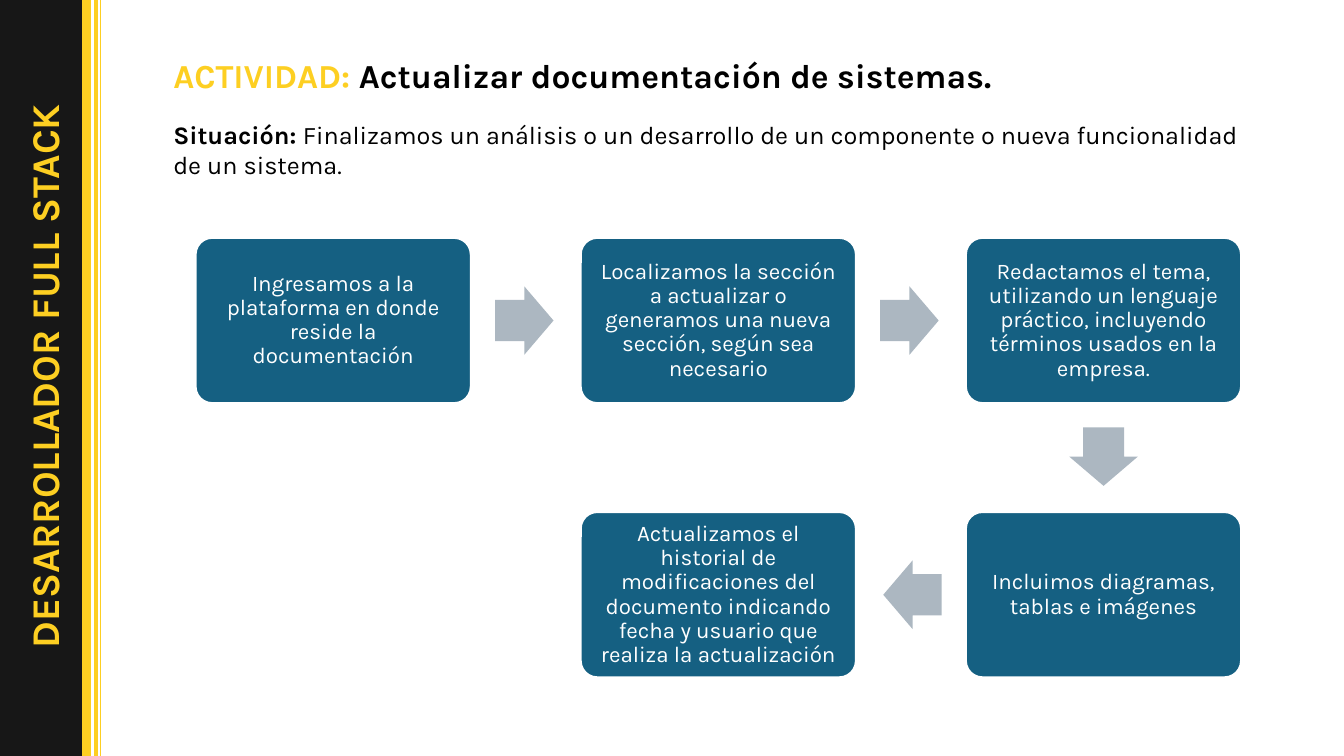
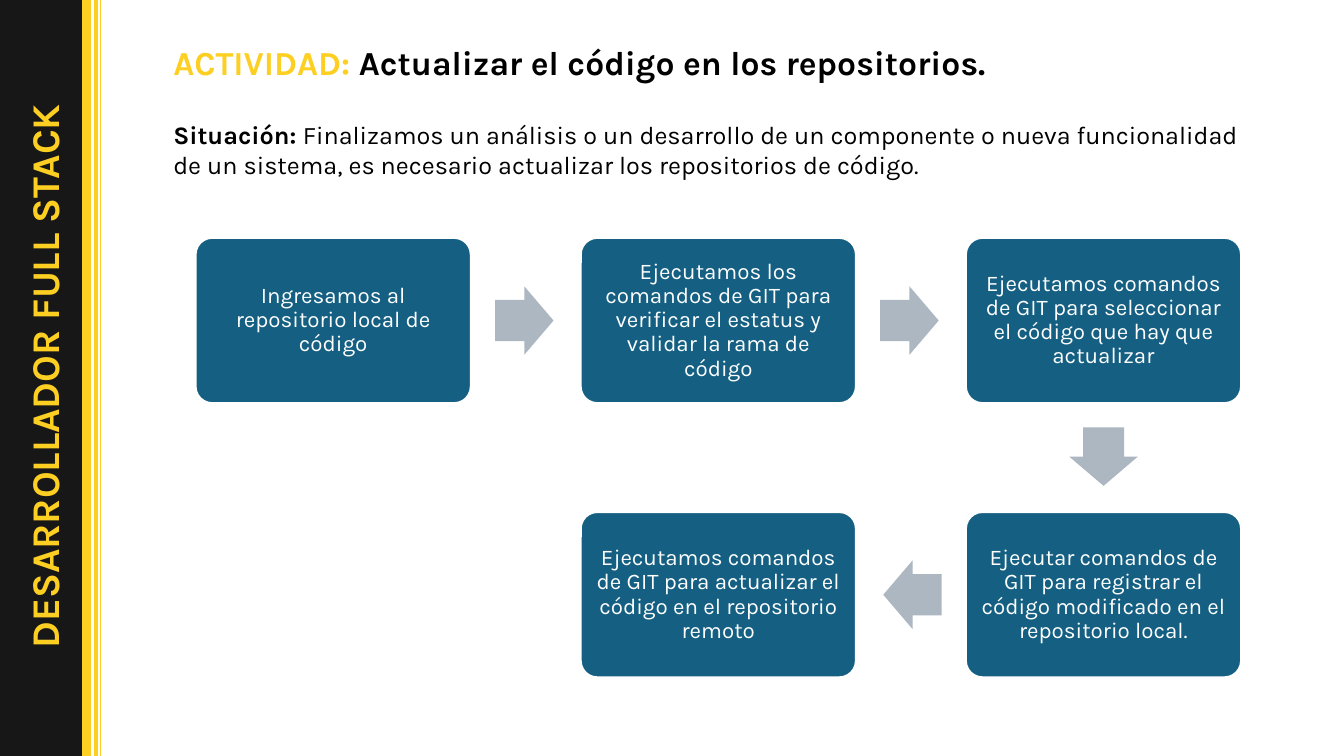
from dataclasses import dataclass
from itertools import pairwise
from math import atan2, degrees

from pptx import Presentation, slide as sl, util as u
from pptx.dml.color import RGBColor
from pptx.enum import shapes as sh, text as tx
from pptx.oxml import ns, xmlchemy as xm


@dataclass(frozen=True)
class Theme:
    font: str = "Karla"
    dark: str = "171717"
    gold: str = "FDCF22"
    blue: str = "156082"
    gray: str = "ACB7C1"
    white: str = "FFFFFF"
    black: str = "000000"
    side: int = 28
    title: int = 24
    body: int = 18
    step: int = 16


@dataclass(frozen=True)
class Rule:
    x: float
    width: float


@dataclass(frozen=True)
class Run:
    text: str
    color: str
    bold: bool = True


@dataclass(frozen=True)
class Page:
    title: str
    top: float
    case: str
    steps: tuple[str, ...]


TH = Theme()
WIDE, HIGH = 13.33, 7.5
RULES = (Rule(0.86, 6), Rule(0.95, 3), Rule(1, 0.5))

# Flow grid: column and row of each step, in reading order
CELLS = ((0, 0), (1, 0), (2, 0), (2, 1), (1, 1))
LEFT, TOP = 1.94, 2.36
BOX_W, BOX_H = 2.73, 1.64
STEP_X, STEP_Y = 3.82, 2.72
ARR_W, ARR_H, GAP = 0.58, 0.68, 0.24

PAGES = (
    Page(
        "Actualizar documentación de sistemas.",
        0.5,
        "Finalizamos un análisis o un desarrollo de un componente o nueva "
        "funcionalidad de un sistema.",
        (
            "Ingresamos a la plataforma en donde reside la documentación",
            "Localizamos la sección a actualizar o generamos una nueva "
            "sección, según sea necesario",
            "Redactamos el tema, utilizando un lenguaje práctico, incluyendo "
            "términos usados en la empresa.",
            "Incluimos diagramas, tablas e imágenes",
            "Actualizamos el historial de modificaciones del documento "
            "indicando fecha y usuario que realiza la actualización",
        ),
    ),
    Page(
        "Actualizar el código en los repositorios.",
        0.37,
        "Finalizamos un análisis o un desarrollo de un componente o nueva "
        "funcionalidad de un sistema, es necesario actualizar los "
        "repositorios de código.",
        (
            "Ingresamos al repositorio local de código",
            "Ejecutamos los comandos de GIT para verificar el estatus y "
            "validar la rama de código",
            "Ejecutamos comandos de GIT para seleccionar el código que hay "
            "que actualizar",
            "Ejecutar comandos de GIT para registrar el código modificado en "
            "el repositorio local.",
            "Ejecutamos comandos de GIT para actualizar el código en el "
            "repositorio remoto",
        ),
    ),
)


def rgb(color: str) -> RGBColor:
    return RGBColor.from_string(color)


def add_shape(slide: sl.Slide, kind: sh.MSO_SHAPE, x: float, y: float,
              w: float, h: float, fill: str, line: str | None = None):
    """Draw a flat preset shape with an optional outline."""
    shape = slide.shapes.add_shape(
        kind, u.Inches(x), u.Inches(y), u.Inches(w), u.Inches(h))
    shape.shadow.inherit = False
    shape.fill.solid()
    shape.fill.fore_color.rgb = rgb(fill)
    if line:
        shape.line.color.rgb = rgb(line)
        shape.line.width = u.Pt(1.5)
    else:
        shape.line.fill.background()
    return shape


def add_rule(slide: sl.Slide, rule: Rule) -> None:
    x = u.Inches(rule.x)
    line = slide.shapes.add_connector(
        sh.MSO_CONNECTOR.STRAIGHT, x, u.Inches(-0.03), x, u.Inches(HIGH + 0.03))
    line.line.color.rgb = rgb(TH.gold)
    line.line.width = u.Pt(rule.width)
    props = line.element.spPr
    props.append(xm.OxmlElement("a:effectLst"))


def add_text(slide: sl.Slide, x: float, y: float, w: float, h: float,
             size: int, *runs: Run):
    """Add a wrapped one-paragraph text box."""
    box = slide.shapes.add_textbox(
        u.Inches(x), u.Inches(y), u.Inches(w), u.Inches(h))
    box.text_frame.word_wrap = True
    para = box.text_frame.paragraphs[0]
    para.font.name = TH.font
    para.font.size = u.Pt(size)
    for part in runs:
        run = para.add_run()
        run.text = part.text
        run.font.bold = part.bold
        run.font.color.rgb = rgb(part.color)
    return box


def add_side(slide: sl.Slide) -> None:
    add_shape(slide, sh.MSO_SHAPE.RECTANGLE, 0, 0, 0.89, HIGH, TH.dark, TH.dark)
    for rule in RULES:
        add_rule(slide, rule)
    label = add_text(slide, -3.06, 3.45, 7, 0.57, TH.side,
                     Run("DESARROLLADOR FULL STACK", TH.gold))
    label.rotation = 270
    label.text_frame.paragraphs[0].alignment = tx.PP_ALIGN.CENTER


def add_step(slide: sl.Slide, cell: tuple[int, int], text: str) -> None:
    col, row = cell
    box = add_shape(slide, sh.MSO_SHAPE.ROUNDED_RECTANGLE,
                    LEFT + col * STEP_X, TOP + row * STEP_Y,
                    BOX_W, BOX_H, TH.blue, TH.white)
    box.adjustments[0] = 0.1
    frame = box.text_frame
    frame.word_wrap = True
    frame.vertical_anchor = tx.MSO_ANCHOR.MIDDLE
    frame.margin_left = frame.margin_right = u.Inches(0.07)
    frame.margin_top = frame.margin_bottom = u.Inches(0.07)
    para = frame.paragraphs[0]
    para.text = text
    para.alignment = tx.PP_ALIGN.CENTER
    para.line_spacing = 0.9
    para.font.name = TH.font
    para.font.size = u.Pt(TH.step)
    para.font.color.rgb = rgb(TH.white)


def add_arrow(slide: sl.Slide, start: tuple[int, int],
              end: tuple[int, int]) -> None:
    """Place an arrow a fixed gap past the edge of its first box."""
    (col, row), (dx, dy) = start, (end[0] - start[0], end[1] - start[1])
    reach = GAP + ARR_W / 2
    mid_x = LEFT + col * STEP_X + BOX_W / 2 + dx * (BOX_W / 2 + reach)
    mid_y = TOP + row * STEP_Y + BOX_H / 2 + dy * (BOX_H / 2 + reach)
    arrow = add_shape(slide, sh.MSO_SHAPE.RIGHT_ARROW, mid_x - ARR_W / 2,
                      mid_y - ARR_H / 2, ARR_W, ARR_H, TH.gray)
    arrow.adjustments[0] = 0.6
    arrow.adjustments[1] = 0.5
    arrow.rotation = degrees(atan2(dy, dx))


def add_page(deck, page: Page) -> None:
    slide = deck.slides.add_slide(deck.slide_layouts[6])
    add_side(slide)
    # Heading and situation
    add_text(slide, 1.62, page.top, 8.72, 0.5, TH.title,
             Run("ACTIVIDAD: ", TH.gold), Run(page.title, TH.black))
    add_text(slide, 1.62, 1.13, 11.02, 0.71, TH.body,
             Run("Situación: ", TH.black), Run(page.case, TH.black, False))
    # Flow of steps
    for cell, text in zip(CELLS, page.steps):
        add_step(slide, cell, text)
    for start, end in pairwise(CELLS):
        add_arrow(slide, start, end)


def main() -> None:
    deck = Presentation()
    deck.slide_width = u.Inches(WIDE)
    deck.slide_height = u.Inches(HIGH)
    for page in PAGES:
        add_page(deck, page)
    deck.save("out.pptx")


if __name__ == "__main__":
    main()
